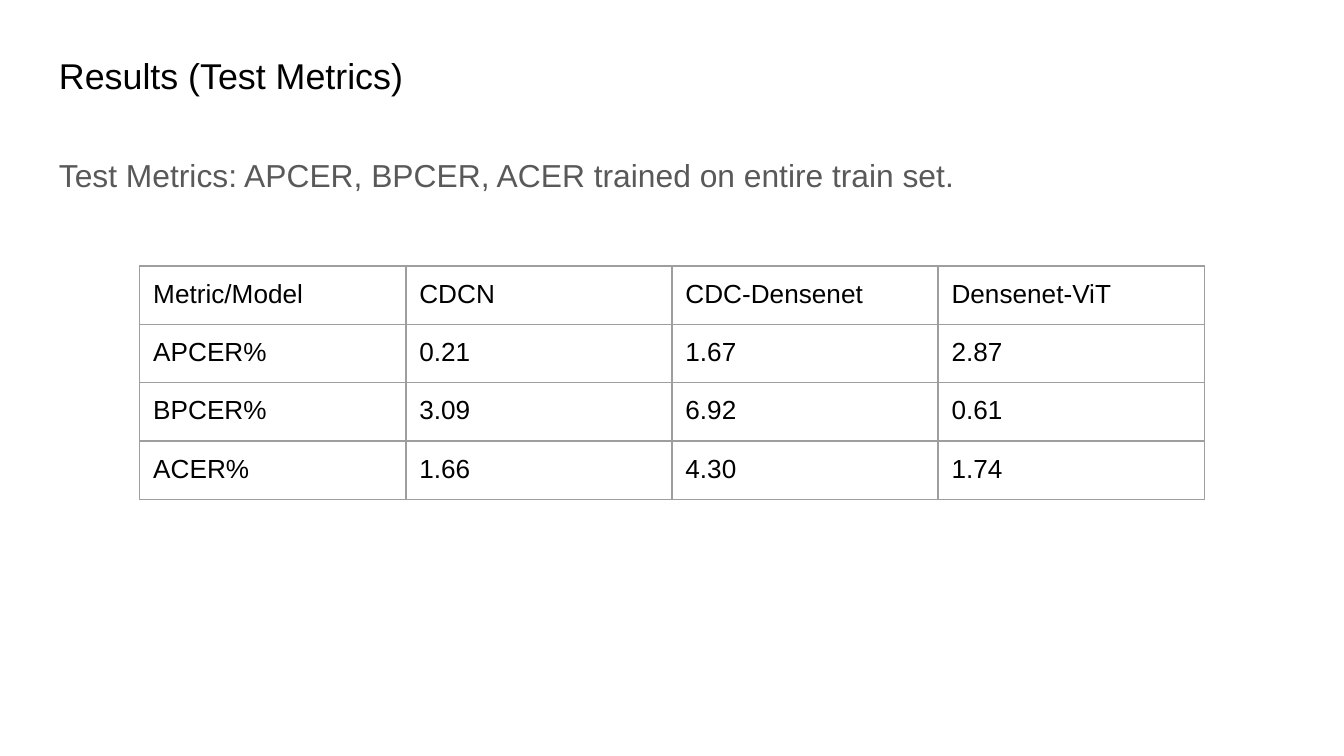
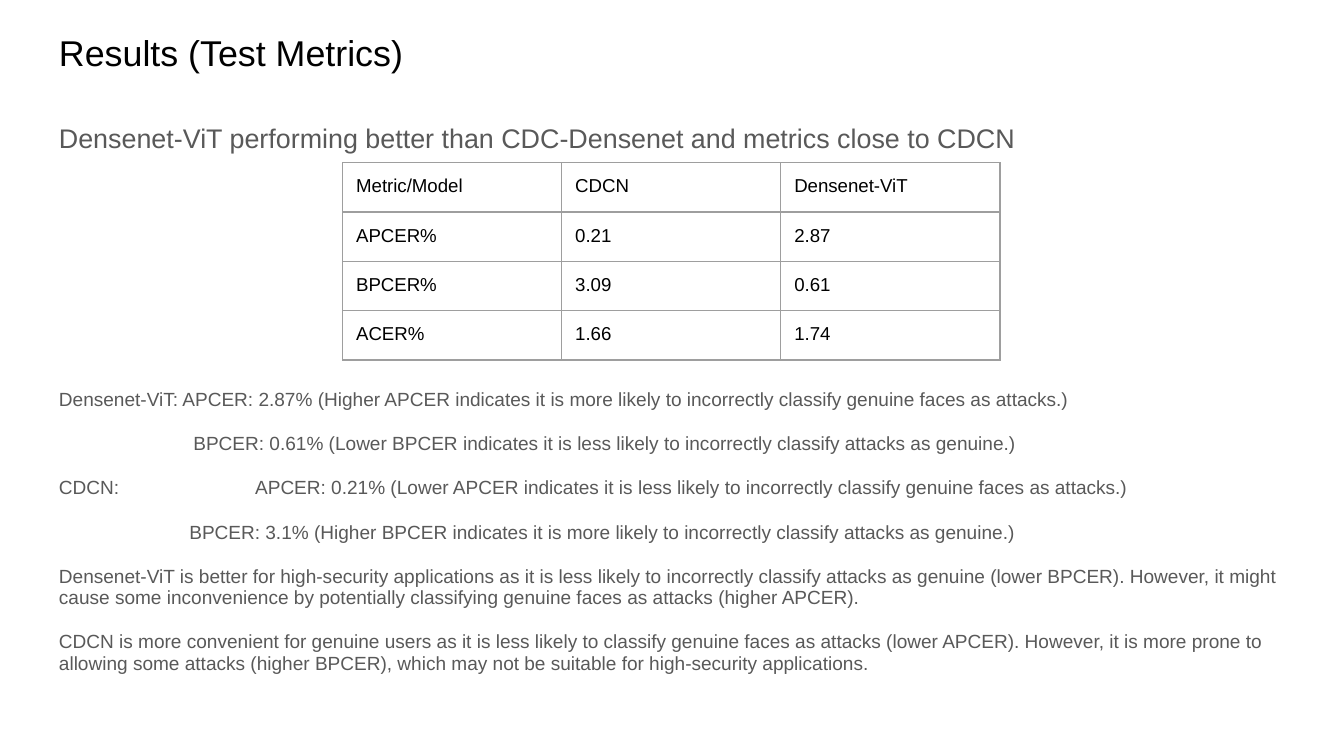
from pptx import Presentation
from pptx.dml.color import RGBColor
from pptx.enum.text import MSO_ANCHOR
from pptx.oxml import parse_xml
from pptx.oxml.ns import nsdecls
from pptx.util import Inches, Pt

FONT = "Arial"
BLACK, GREY, BORDER = "000000", "595959", "9E9E9E"
LEFT, WIDTH, INSET = 0.34, 9.32, 0.1


def style(para, size, color):
    """Set the font of a paragraph and of its end mark, which counts in row heights."""
    para.font.name = FONT
    para.font.size = Pt(size)
    para.font.color.rgb = RGBColor.from_string(color)
    para._p.append(parse_xml(
        f'<a:endParaRPr {nsdecls("a")} sz="{round(size * 100)}">'
        f'<a:latin typeface="{FONT}"/></a:endParaRPr>'))


def add_text(page, top, height, lines, color, line_spacing):
    """Add a text box; each line is (text, size, space before, left indent, tab stop)."""
    box = page.shapes.add_textbox(Inches(LEFT), Inches(top), Inches(WIDTH), Inches(height))
    frame = box.text_frame
    frame.word_wrap = True
    frame.margin_left = frame.margin_right = Inches(INSET)
    frame.margin_top = frame.margin_bottom = Inches(INSET)
    for index, (text, size, before, indent, tab) in enumerate(lines):
        para = frame.paragraphs[0] if index == 0 else frame.add_paragraph()
        para.text = text
        properties = para._p.get_or_add_pPr()
        if indent:
            properties.set("marL", str(Inches(indent)))
        if tab:
            properties.append(parse_xml(
                f'<a:tabLst {nsdecls("a")}><a:tab pos="{Inches(tab)}" algn="l"/></a:tabLst>'))
        para.line_spacing = line_spacing
        para.space_before = Pt(before)
        style(para, size, color)


header = ["Metric/Model", "CDCN", "CDC-Densenet", "Densenet-ViT"]
results = [
    header,
    ["APCER%", "0.21", "1.67", "2.87"],
    ["BPCER%", "3.09", "6.92", "0.61"],
    ["ACER%", "1.66", "4.30", "1.74"],
]
without_cdc = [[row[0], row[1], row[3]] for row in results]

overview = [("Test Metrics: APCER, BPCER, ACER trained on entire train set.", 17, 0, 0, 0)]
# The space before the second line leaves room for the table.
comparison = [
    ("Densenet-ViT performing better than CDC-Densenet and metrics close to CDCN", 14.4, 0, 0, 0),
    ("Densenet-ViT: APCER: 2.87% (Higher APCER indicates it is more likely to incorrectly "
     "classify genuine faces as attacks.)", 10.2, 126, 0, 0),
    ("BPCER: 0.61% (Lower BPCER indicates it is less likely to incorrectly "
     "classify attacks as genuine.)", 10.2, 12, 1, 0),
    ("CDCN:\tAPCER: 0.21% (Lower APCER indicates it is less likely to incorrectly "
     "classify genuine faces as attacks.)", 10.2, 12, 0, 1.46),
    ("BPCER: 3.1% (Higher BPCER indicates it is more likely to incorrectly "
     "classify attacks as genuine.)", 10.2, 12, 0.97, 0),
    ("Densenet-ViT is better for high-security applications as it is less likely to "
     "incorrectly classify attacks as genuine (lower BPCER). However, it might cause some "
     "inconvenience by potentially classifying genuine faces as attacks (higher APCER).",
     10.2, 12, 0, 0),
    ("CDCN is more convenient for genuine users as it is less likely to classify genuine "
     "faces as attacks (lower APCER). However, it is more prone to allowing some attacks "
     "(higher BPCER), which may not be suitable for high-security applications.",
     10.2, 12, 0, 0),
]

# title top, body top, body height, body lines, line spacing,
# table rows, table left, table top, column width, row height, table text size
slides = [
    (0.3, 1.02, 4.25, overview, 1.15, results, 1.04, 1.98, 1.98, 0.42, 14),
    (0.13, 0.82, 4.46, comparison, 0.95, without_cdc, 2.55, 1.21, 1.63, 0.35, 10),
]

deck = Presentation()
deck.slide_width = Inches(10)
deck.slide_height = deck.slide_width * 9 // 16

for (title_top, body_top, body_height, lines, line_spacing,
     rows, table_left, table_top, column_width, row_height, size) in slides:
    page = deck.slides.add_slide(deck.slide_layouts[6])
    add_text(page, title_top, 0.63, [("Results (Test Metrics)", 19.2, 0, 0, 0)], BLACK, 1.0)
    add_text(page, body_top, body_height, lines, GREY, line_spacing)

    table = page.shapes.add_table(
        len(rows), len(rows[0]), Inches(table_left), Inches(table_top),
        Inches(column_width * len(rows[0])), Inches(row_height * len(rows))).table
    table.first_row = table.horz_banding = False
    for column in table.columns:
        column.width = Inches(column_width)
    for row_index, row in enumerate(rows):
        table.rows[row_index].height = Inches(row_height)
        for column_index, text in enumerate(row):
            cell = table.cell(row_index, column_index)
            cell.text = text
            cell.vertical_anchor = MSO_ANCHOR.TOP
            cell.margin_left = cell.margin_right = Inches(INSET)
            cell.margin_top = cell.margin_bottom = Inches(INSET)
            style(cell.text_frame.paragraphs[0], size, BLACK)
            for side in ("lnL", "lnR", "lnT", "lnB"):
                cell._tc.get_or_add_tcPr().append(parse_xml(
                    f'<a:{side} {nsdecls("a")} w="{Pt(0.75)}"><a:solidFill>'
                    f'<a:srgbClr val="{BORDER}"/></a:solidFill></a:{side}>'))
            cell.fill.background()

deck.save("out.pptx")
